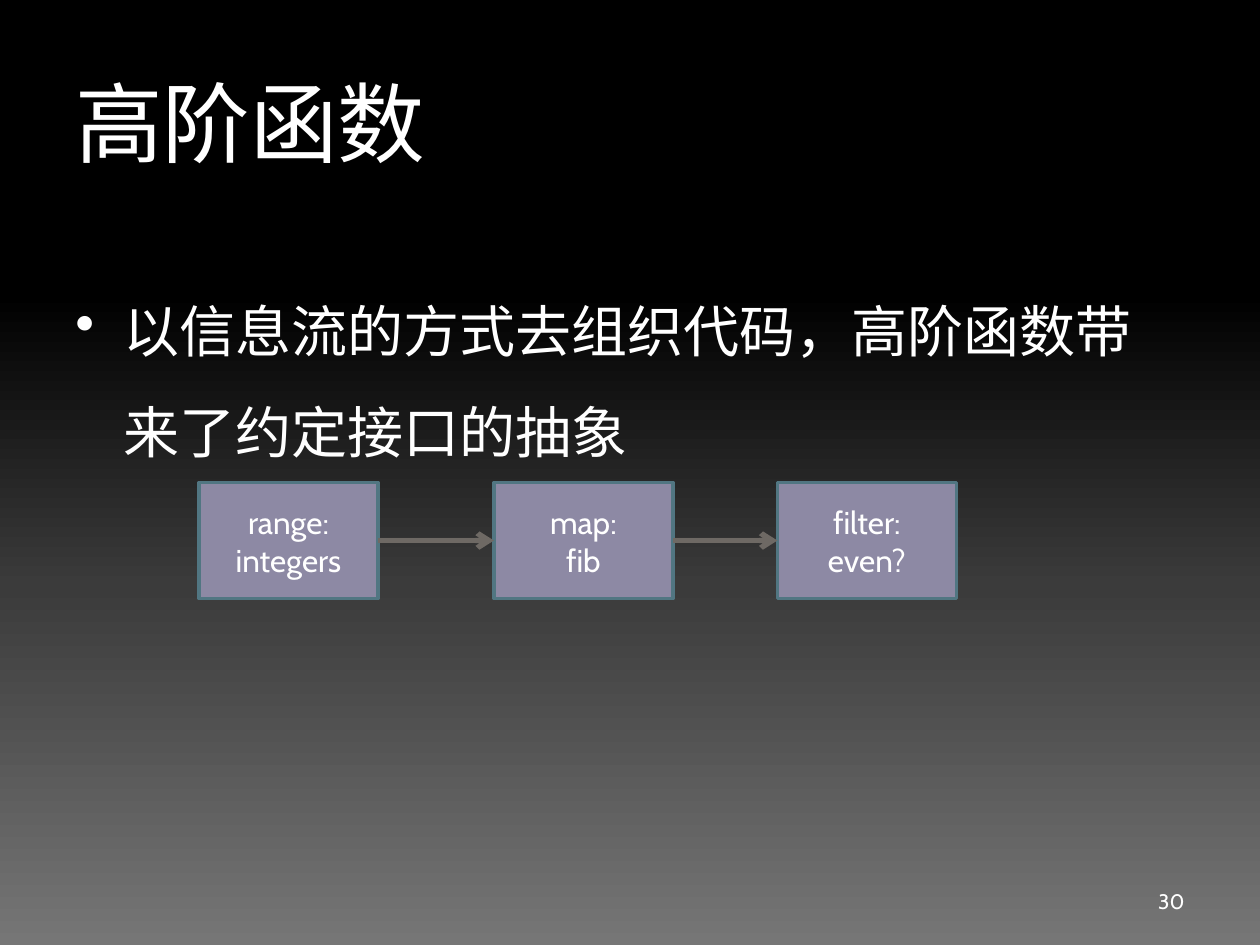
"""Builds a slide on higher-order functions with a flow of three steps."""
from typing import NamedTuple

from lxml import etree
from pptx import Presentation
from pptx import util as u
from pptx.dml import color
from pptx.enum import shapes, text
from pptx.oxml import ns

FONT = "Cabin"
WHITE = "FFFFFF"
STOPS = [(0, "000000"), (31, "000000"), (62, "3B3B3B"), (100, "767676")]
TOP, WIDE, HIGH = 3.83, 1.42, 0.92


class Step(NamedTuple):
    left: float
    label: str


STEPS = [
    Step(1.58, "range:\nintegers"),
    Step(3.92, "map:\nfib"),
    Step(6.17, "filter:\neven?"),
]


def rgb(code: str) -> color.RGBColor:
    return color.RGBColor.from_string(code)


def add(root, tag: str, **attrs: str):
    return etree.SubElement(root, ns.qn(tag), attrs)


def write(frame, words: str, size: int, align, anchor) -> None:
    frame.word_wrap = True
    frame.vertical_anchor = anchor
    frame.text = words
    for par in frame.paragraphs:
        par.alignment = align
        par.font.name = FONT
        par.font.size = u.Pt(size)
        par.font.color.rgb = rgb(WHITE)


def label(slide, box: tuple, words: str, size: int, align, anchor):
    frame = slide.shapes.add_textbox(*map(u.Inches, box)).text_frame
    write(frame, words, size, align, anchor)
    return frame


def shade(slide) -> None:
    fill = slide.background.fill
    fill.gradient()
    fill.gradient_angle = 270
    stops = next(slide.element.iter(ns.qn("a:gsLst")))
    stops.clear()
    for place, code in STOPS:
        stop = add(stops, "a:gs", pos=str(place * 1000))
        add(stop, "a:srgbClr", val=code)


def bullet(par, indent: float) -> None:
    par.line_spacing = 1.5
    par.space_before = u.Pt(6.4)
    props = par._p.get_or_add_pPr()
    props.set("marL", str(u.Inches(indent)))
    props.set("indent", str(-u.Inches(indent)))
    mark = etree.Element(ns.qn("a:buChar"), char="•")
    props.insert_element_before(mark, "a:tabLst", "a:defRPr", "a:extLst")


def block(slide, step: Step):
    box = map(u.Inches, (step.left, TOP, WIDE, HIGH))
    shape = slide.shapes.add_shape(shapes.MSO_SHAPE.RECTANGLE, *box)
    shape.shadow.inherit = False
    shape.fill.solid()
    shape.fill.fore_color.rgb = rgb("8D89A4")
    shape.line.color.rgb = rgb("517682")
    shape.line.width = u.Pt(2)
    write(shape.text_frame, step.label, 18,
          text.PP_ALIGN.CENTER, text.MSO_ANCHOR.MIDDLE)
    return shape


def arrow(slide, start, end) -> None:
    line = slide.shapes.add_connector(shapes.MSO_CONNECTOR.STRAIGHT, 0, 0, 0, 0)
    line.begin_connect(start, 3)
    line.end_connect(end, 1)
    line.line.color.rgb = rgb("6E6964")
    line.line.width = u.Pt(3)
    add(line.line._get_or_add_ln(), "a:tailEnd", type="arrow")
    add(line._element.spPr, "a:effectLst")


def main() -> None:
    deck = Presentation()
    deck.slide_width, deck.slide_height = u.Inches(10), u.Inches(7.5)
    slide = deck.slides.add_slide(deck.slide_layouts[6])
    shade(slide)
    left, right = text.PP_ALIGN.LEFT, text.PP_ALIGN.RIGHT
    top, mid = text.MSO_ANCHOR.TOP, text.MSO_ANCHOR.MIDDLE
    label(slide, (0.5, 0.5, 9, 1.25), "高阶函数", 50, left, top)
    body = label(slide, (0.5, 1.75, 9, 4.95),
                 "以信息流的方式去组织代码，高阶函数带来了约定接口的抽象",
                 32, left, mid)
    body.margin_bottom = u.Inches(2.72)
    bullet(body.paragraphs[0], 0.38)
    label(slide, (7.17, 6.95, 2.33, 0.4), "30", 12, right, mid)
    blocks = [block(slide, step) for step in STEPS]
    for start, end in zip(blocks, blocks[1:]):
        arrow(slide, start, end)
    deck.save("out.pptx")


main()
